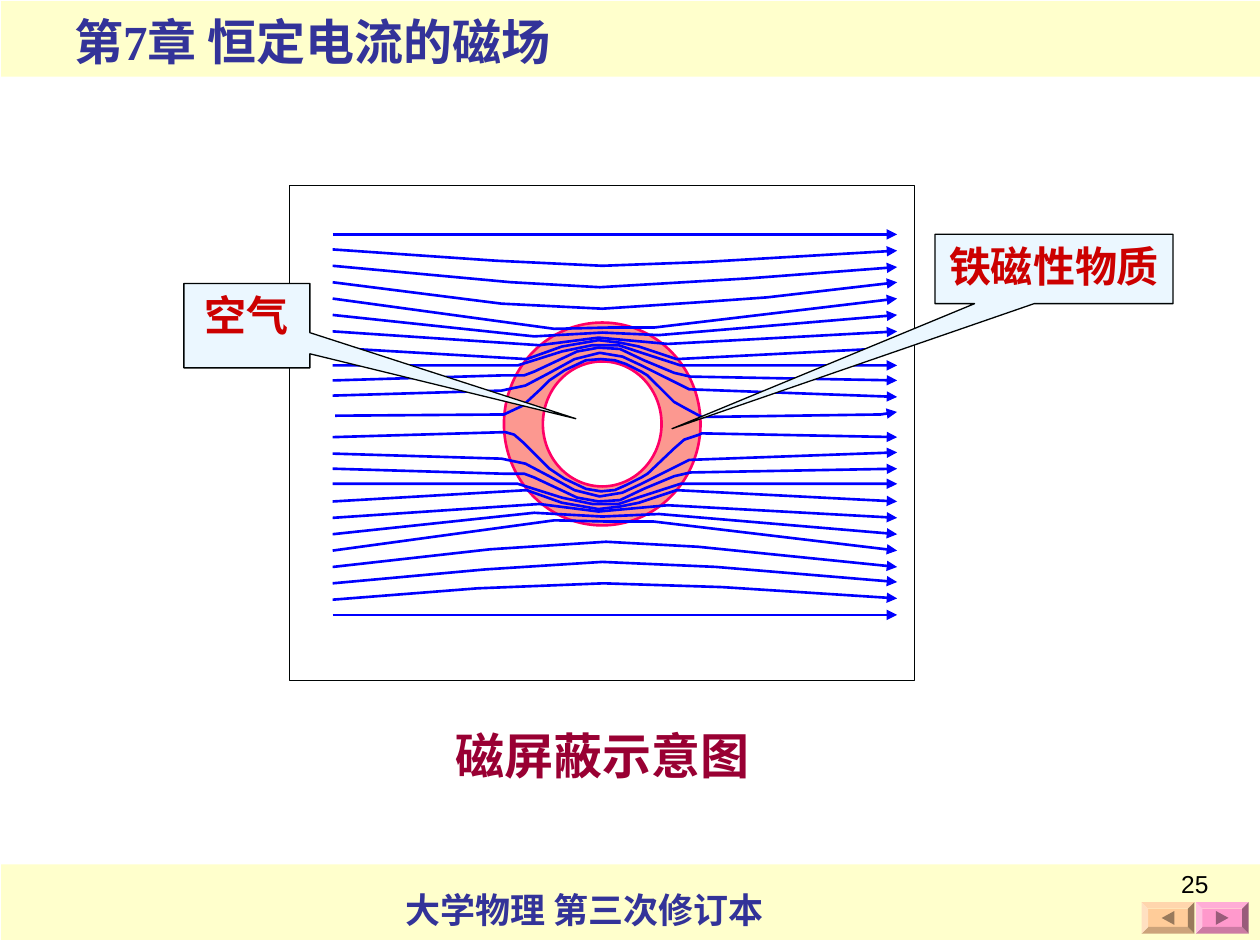
"""Build the magnetic shielding slide with field lines bending through an iron ring."""
from dataclasses import dataclass

from lxml.etree import SubElement
from pptx import Presentation
from pptx.dml.color import RGBColor
from pptx.enum.shapes import MSO_CONNECTOR, MSO_SHAPE
from pptx.enum.text import MSO_ANCHOR, PP_ALIGN as AL
from pptx.oxml.ns import qn
from pptx.util import Inches, Pt


@dataclass(frozen=True)
class Theme:
    band: str = "FFFFCC"
    heading: str = "333399"
    caption: str = "990033"
    label: str = "CC0000"
    callout: str = "EBF7FF"
    ink: str = "000404"
    black: str = "000000"
    white: str = "FFFFFF"
    ring: str = "FB3223"
    ring_edge: str = "FF0066"
    field: str = "0000FF"
    back: str = "FFCC99"
    back_arrow: str = "997A5C"
    next: str = "FF99CC"
    next_arrow: str = "995C7A"
    serif: str = "Times New Roman"
    sans: str = "Arial"
    title_size: int = 28
    label_size: int = 24
    footer_size: int = 20
    number_size: int = 14
    thin: float = 0.75
    thick: float = 1.5


T = Theme()

prs = Presentation()
prs.slide_width, prs.slide_height = Inches(10), Inches(7.5)
s = prs.slides.add_slide(prs.slide_layouts[6])


def add_shape(kind, at, fill, line=None, width=T.thin, adj=()):
    sp = s.shapes.add_shape(kind, *map(Inches, at))
    sp.shadow.inherit = False
    sp.fill.solid()
    sp.fill.fore_color.rgb = RGBColor.from_string(fill)
    if line:
        sp.line.color.rgb = RGBColor.from_string(line)
        sp.line.width = Pt(width)
    else:
        sp.line.fill.background()
    for i, value in enumerate(adj):
        sp.adjustments[i] = value
    return sp


def set_text(sp, text, size, color, align=AL.LEFT, font=T.serif, bold=True):
    tf = sp.text_frame
    tf.word_wrap = True
    tf.vertical_anchor = MSO_ANCHOR.TOP
    tf.text = text
    p = tf.paragraphs[0]
    p.alignment = align
    r = p.runs[0]
    r.font.name, r.font.size, r.font.bold = font, Pt(size), bold
    r.font.color.rgb = RGBColor.from_string(color)


for top in (6.86, 0.01):
    add_shape(MSO_SHAPE.RECTANGLE, (0.01, top, 9.99, 0.6), T.band)

for left, fill, arrow, angle in (
    (9.49, T.next, T.next_arrow, 90),
    (9.06, T.back, T.back_arrow, -90),
):
    add_shape(MSO_SHAPE.BEVEL, (left, 7.16, 0.42, 0.25), fill, adj=[0.21])
    sp = add_shape(MSO_SHAPE.ISOSCELES_TRIANGLE, (left + 0.155, 7.235, 0.11, 0.1), arrow)
    sp.rotation = angle

add_shape(MSO_SHAPE.RECTANGLE, (2.3, 1.47, 4.96, 3.93), T.white, T.ink)
ring = add_shape(MSO_SHAPE.DONUT, (4, 2.56, 1.56, 1.61), T.ring, T.ring_edge, T.thick, [0.198])
ring_color = ring._element.spPr.find(qn("a:solidFill"))[0]
SubElement(ring_color, qn("a:alpha"), val="50000")

X0, X1, MIRROR = 2.64, 7.12, 6.74
symmetric = [
    [(X0, 1.86), (X1, 1.86)],
    [(X0, 2.37), (4.4, 2.61), (4.83, 2.6), (5.19, 2.6), (X1, 2.37)],
    [(X0, 2.5), (4.24, 2.67), (4.78, 2.64), (5.23, 2.66), (X1, 2.5)],
    [(X0, 2.63), (4.28, 2.74), (4.75, 2.68), (5.3, 2.73), (X1, 2.63)],
    [(X0, 2.76), (4.18, 2.85), (4.46, 2.75), (4.75, 2.7), (4.92, 2.72), (5.07, 2.75),
     (5.37, 2.85), (X1, 2.76)],
    [(X0, 2.9), (4.11, 2.9), (4.46, 2.79), (4.7, 2.74), (4.91, 2.74), (5.06, 2.79),
     (5.4, 2.9), (X1, 2.9)],
    [(X0, 3.02), (3.99, 2.98), (4.16, 2.98), (4.24, 2.95), (4.41, 2.87), (4.58, 2.79),
     (4.75, 2.76), (4.92, 2.77), (5.11, 2.86), (5.35, 2.96), (5.48, 2.99), (X1, 3.02)],
    [(X0, 3.14), (3.98, 3.1), (4.17, 3.06), (4.36, 2.96), (4.56, 2.85), (4.76, 2.8),
     (4.94, 2.83), (5.09, 2.9), (5.47, 3.09), (X1, 3.15)],
]
single = [
    [(X0, 1.98), (3.94, 2.07), (4.78, 2.11), (5.59, 2.08), (X1, 1.99)],
    [(X0, 2.11), (4.05, 2.24), (4.76, 2.28), (5.94, 2.21), (X1, 2.12)],
    [(X0, 2.24), (3.98, 2.41), (4.78, 2.45), (5.53, 2.4), (6.09, 2.36), (X1, 2.24)],
    [(2.66, 3.3), (4, 3.29), (4.15, 3.22), (4.29, 3.09), (4.36, 3.02), (4.48, 2.94),
     (4.65, 2.86), (4.77, 2.85), (4.88, 2.86), (4.97, 2.89), (5.09, 2.95), (5.14, 2.98),
     (5.35, 3.19), (5.44, 3.24), (5.57, 3.31), (6.99, 3.29), (X1, 3.27)],
    [(X0, 4.76), (3.79, 4.67), (4.79, 4.63), (5.73, 4.66), (X1, 4.75)],
    [(X0, 4.63), (3.85, 4.52), (4.78, 4.46), (5.68, 4.5), (X1, 4.62)],
    [(X0, 4.5), (3.89, 4.36), (4.81, 4.3), (5.54, 4.34), (X1, 4.5)],
    [(X0, 3.47), (4.01, 3.43), (4.08, 3.45), (4.15, 3.51), (4.29, 3.65), (4.36, 3.72),
     (4.48, 3.8), (4.65, 3.88), (4.77, 3.9), (4.88, 3.89), (4.97, 3.85), (5.09, 3.79),
     (5.14, 3.76), (5.35, 3.56), (5.43, 3.49), (5.55, 3.45), (5.57, 3.44), (X1, 3.47)],
]
mirrored = [[(x, MIRROR - y) for x, y in line] for line in symmetric]

for line in symmetric + single + mirrored:
    pts = [(Inches(x), Inches(y)) for x, y in line]
    if len(pts) == 2:
        sp = s.shapes.add_connector(MSO_CONNECTOR.STRAIGHT, *pts[0], *pts[1])
    else:
        fb = s.shapes.build_freeform(*pts[0])
        fb.add_line_segments(pts[1:], close=False)
        sp = fb.convert_to_shape()
        sp.fill.background()
    sp.line.color.rgb = RGBColor.from_string(T.field)
    sp.line.width = Pt(T.thick)
    spPr = sp._element.spPr
    SubElement(spPr.find(qn("a:ln")), qn("a:tailEnd"), type="triangle")
    SubElement(spPr, qn("a:effectLst"))

for at, adj, text in (
    ((7.42, 1.86, 1.89, 0.55), (-1.604, 2.305), "铁磁性物质"),
    ((1.46, 2.25, 1, 0.67), (2.611, 1.102), "空气"),
):
    sp = add_shape(MSO_SHAPE.RECTANGULAR_CALLOUT, at, T.callout, T.ink, adj=adj)
    set_text(sp, text, T.label_size, T.label, AL.CENTER)

for at, text, size, color, align in (
    ((3.12, 7, 3.12, 0.44), "大学物理 第三次修订本", T.footer_size, T.heading, AL.LEFT),
    ((0.49, 0.04, 6.24, 0.57), "第7章 恒定电流的磁场", T.title_size, T.heading, AL.LEFT),
    ((2.3, 5.71, 4.96, 0.57), "磁屏蔽示意图", T.title_size, T.caption, AL.CENTER),
):
    set_text(s.shapes.add_textbox(*map(Inches, at)), text, size, color, align)

number = s.shapes.add_textbox(*map(Inches, (7.36, 6.85, 2.33, 0.52)))
set_text(number, "25", T.number_size, T.black, AL.RIGHT, T.sans, False)

prs.save("out.pptx")
